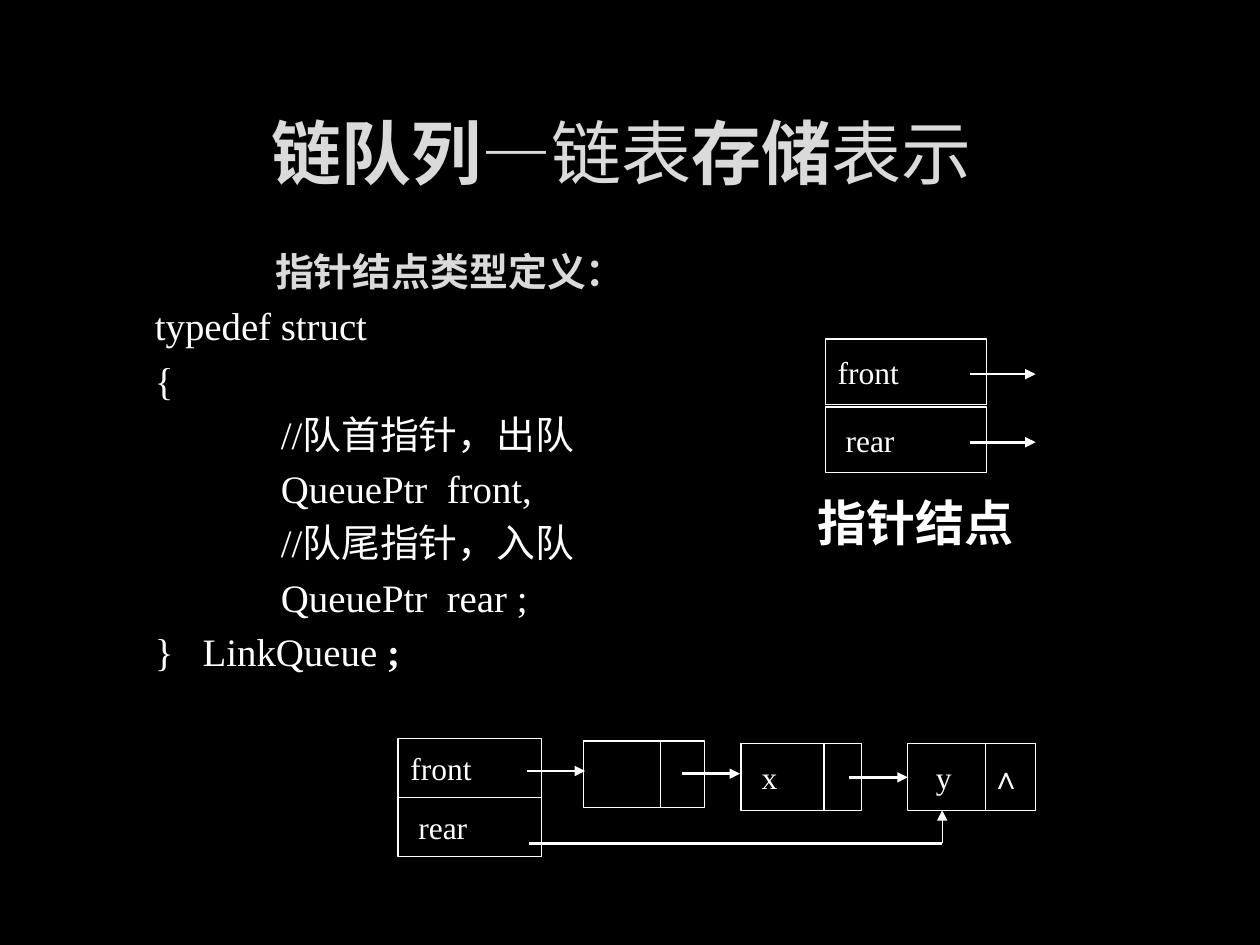
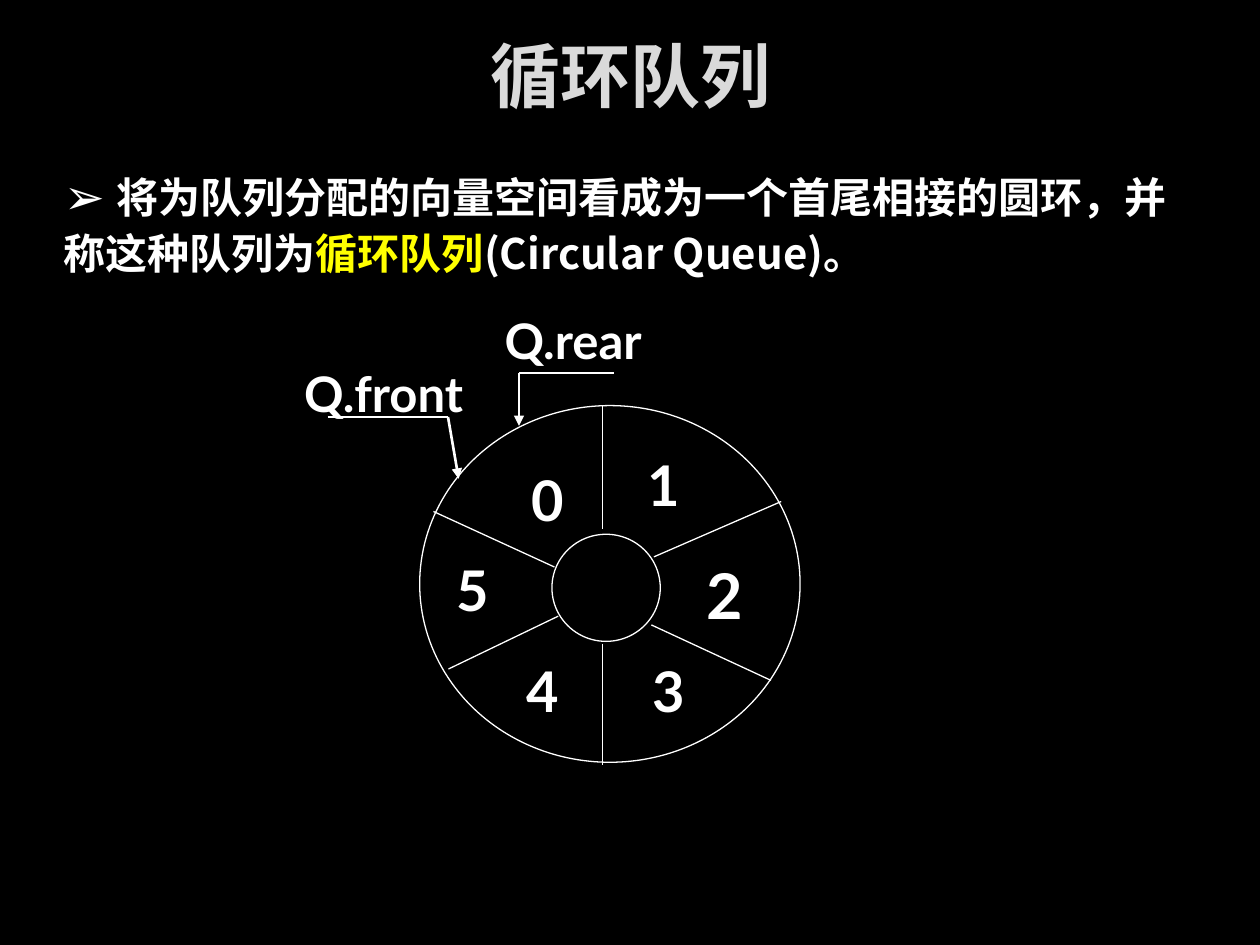
from lxml import etree
from pptx import Presentation
from pptx.dml.color import RGBColor
from pptx.enum.shapes import MSO_CONNECTOR, MSO_SHAPE
from pptx.enum.text import MSO_ANCHOR, PP_ALIGN
from pptx.oxml.ns import qn
from pptx.util import Pt

RECT, OVAL = MSO_SHAPE.RECTANGLE, MSO_SHAPE.OVAL
STRAIGHT = MSO_CONNECTOR.STRAIGHT
LEFT, CENTER = PP_ALIGN.LEFT, PP_ALIGN.CENTER
TOP, MIDDLE = MSO_ANCHOR.TOP, MSO_ANCHOR.MIDDLE

COLORS = {"bg": "000000", "ink": "FFFFFF", "title": "DADADA", "accent": "FFFF00"}
SERIF, SANS, CJK = "Times New Roman", "Lato", "Noto Sans CJK SC"
THIN, THICK = 0.75, 1.5


def rgb(name):
    return RGBColor.from_string(COLORS[name])


def add_text(p, text, size=18, font=SERIF, color="ink", bold=False, spacing=0):
    r = p.add_run()
    r.text = text
    r.font.size = Pt(size)
    r.font.name = font
    r.font.bold = bold
    r.font.color.rgb = rgb(color)
    rPr = r._r.get_or_add_rPr()
    etree.SubElement(rPr, qn("a:ea"), typeface=CJK)
    if spacing:
        rPr.set("spc", str(round(spacing * 100)))


def set_indent(p, left):
    pPr = p._p.get_or_add_pPr()
    pPr.set("marL", str(Pt(left)))
    pPr.set("indent", "0")
    return pPr


class Deck:
    def __init__(self):
        self.prs = Presentation()
        self.prs.slide_width, self.prs.slide_height = Pt(720), Pt(540)
        self.s = None

    def slide(self):
        self.s = self.prs.slides.add_slide(self.prs.slide_layouts[6])
        self.s.background.fill.solid()
        self.s.background.fill.fore_color.rgb = rgb("bg")

    def box(self, x, y, w, h, anchor=MIDDLE):
        tf = self.s.shapes.add_textbox(Pt(x), Pt(y), Pt(w), Pt(h)).text_frame
        tf.word_wrap = True
        tf.vertical_anchor = anchor
        return tf

    def title(self, x, y, w, h, *parts):
        """Each part is a (text, bold) pair."""
        p = self.box(x, y, w, h).paragraphs[0]
        p.alignment = CENTER
        for text, bold in parts:
            add_text(p, text, size=40, font=CJK, color="title", bold=bold)

    def label(self, x, y, w, h, text, **fmt):
        tf = self.box(x, y, w, h)
        tf.margin_left = tf.margin_right = 0
        p = tf.paragraphs[0]
        p.alignment = CENTER
        add_text(p, text, **fmt)

    def shape(self, kind, x, y, w, h):
        sp = self.s.shapes.add_shape(kind, Pt(x), Pt(y), Pt(w), Pt(h))
        sp.shadow.inherit = False
        sp.fill.background()
        sp.line.color.rgb = rgb("ink")
        sp.line.width = Pt(THIN)
        return sp

    def cell(self, x, y, w, h, text="", indent=0):
        tf = self.shape(RECT, x, y, w, h).text_frame
        tf.vertical_anchor = MIDDLE
        if text:
            p = tf.paragraphs[0]
            p.alignment = LEFT
            set_indent(p, indent)
            add_text(p, text)

    def line(self, x1, y1, x2, y2, width=THIN, arrow=False):
        c = self.s.shapes.add_connector(STRAIGHT, Pt(x1), Pt(y1), Pt(x2), Pt(y2))
        c.line.color.rgb = rgb("ink")
        c.line.width = Pt(width)
        if arrow:
            etree.SubElement(c.line._get_or_add_ln(), qn("a:tailEnd"), type="triangle")
        etree.SubElement(c._element.spPr, qn("a:effectLst"))

    def arrow(self, x1, y1, x2, y2, width=THICK):
        self.line(x1, y1, x2, y2, width, arrow=True)

    def pointer_cells(self, x, y, w, h, pitch):
        for i, (text, indent) in enumerate((("front", 0), ("rear", 4.5))):
            self.cell(x, y + i * pitch, w, h, text, indent)


def linked_queue(d):
    d.slide()
    d.title(54, 48.2, 611.3, 76.3, ("链队列", True), ("—链表", False),
            ("存储", True), ("表示 ", False))

    # Type definition
    tf = d.box(81.4, 123.4, 351.4, 275.8)
    p = tf.paragraphs[0]
    p.alignment = CENTER
    p.line_spacing = Pt(31)
    add_text(p, "指针结点类型定义：", size=22.2, color="title", bold=True)
    code = (("typedef struct", 0), ("{", 0), ("//队首指针，出队", 72),
            ("QueuePtr  front,", 72), ("//队尾指针，入队", 72),
            ("QueuePtr  rear ;", 72), ("}", 0))
    for text, indent in code:
        p = tf.add_paragraph()
        p.line_spacing = Pt(31)
        set_indent(p, indent)
        add_text(p, text, size=22.2)
    add_text(p, " ", size=22.2, spacing=11.1)
    add_text(p, "LinkQueue ", size=22.2)
    add_text(p, ";", size=22.2, bold=True)

    # Pointer node
    d.label(460, 275.8, 126, 44.6, "指针结点", size=28, bold=True)
    d.pointer_cells(471.6, 193.7, 92.2, 37.4, 38.9)
    for y in (213.8, 252.7):
        d.arrow(554.4, y, 591.8, y)

    # Queue: pointers, head node and two data nodes
    d.pointer_cells(227.5, 421.9, 82.1, 33.8, 33.8)
    nodes = ((333.4, 423.4, 69.1, 377.3, "", 0),
             (423.4, 424.8, 69.1, 470.9, "x", 4.8),
             (518.4, 424.8, 73.4, 563, "y", 9.3))
    for x, y, w, divider, text, indent in nodes:
        d.cell(x, y, w, 38.2, text, indent)
        d.line(divider, y, divider, y + 38.2)
    d.label(563, 425, 24, 38, "∧")
    for x, y in ((301, 440.6), (389.5, 442.1), (485.3, 444.2)):
        d.arrow(x, y, x + 33.4, y)
    d.line(302.4, 482, 538.2, 482, THICK)
    d.arrow(538.4, 482, 538.4, 463, THIN)


def circular_queue(d):
    d.slide()
    d.title(84.2, 8.6, 552.2, 68.4, ("循环队列", True))

    # Definition
    tf = d.box(29.5, 88.6, 648, 69.8, anchor=TOP)
    tf.margin_top = Pt(7.9)
    p = tf.paragraphs[0]
    p.line_spacing = Pt(31)
    pPr = set_indent(p, 0)
    etree.SubElement(pPr, qn("a:buFont"), typeface=CJK)
    etree.SubElement(pPr, qn("a:buChar"), char="➢")
    add_text(p, " ", size=28, font=SANS, bold=True)
    for text, color in (
            ("将为队列分配的向量空间看成为一个首尾相接的圆环，并称这种队列为", "ink"),
            ("循环队列", "accent"), ("(Circular Queue)。", "ink")):
        add_text(p, text, size=24, font=CJK, color=color, bold=True)

    # Ring and its spokes
    d.shape(OVAL, 315.4, 305.3, 61.9, 61.2)
    d.shape(OVAL, 239.8, 231.8, 217.4, 203.8)
    spokes = ((344.2, 231.8, 344.2, 302.4), (344.2, 367.9, 344.2, 437),
              (373.7, 318.2, 446.4, 286.6), (256.3, 382.3, 319, 352.1),
              (372.2, 357.1, 440.6, 388.8), (247.7, 292.3, 316.8, 324))
    for spoke in spokes:
        d.line(*spoke)

    # Slot numbers
    slots = ((293.8, 270), (360, 261.4), (394.6, 324.7),
             (362.9, 379.4), (290.9, 379.4), (250.6, 321.8))
    for i, (x, y) in enumerate(slots):
        d.label(x, y, 38.9, 30.2, str(i), size=36 if i == 2 else 32,
                font=SANS, bold=True)

    # Front and rear pointers
    d.label(167.2, 205.2, 104, 38.2, "Q.front", size=28, font=SANS, bold=True)
    d.line(187.2, 238.3, 256, 238.3, THICK)
    d.arrow(256, 238.3, 262.1, 273.6)
    d.label(281.5, 175, 92, 38.2, "Q.rear", size=28, font=SANS, bold=True)
    d.line(296.6, 213.1, 350.6, 213.1, THICK)
    d.arrow(296.6, 213.1, 296.6, 243.4)


def main():
    d = Deck()
    linked_queue(d)
    circular_queue(d)
    d.prs.save("out.pptx")


if __name__ == "__main__":
    main()
